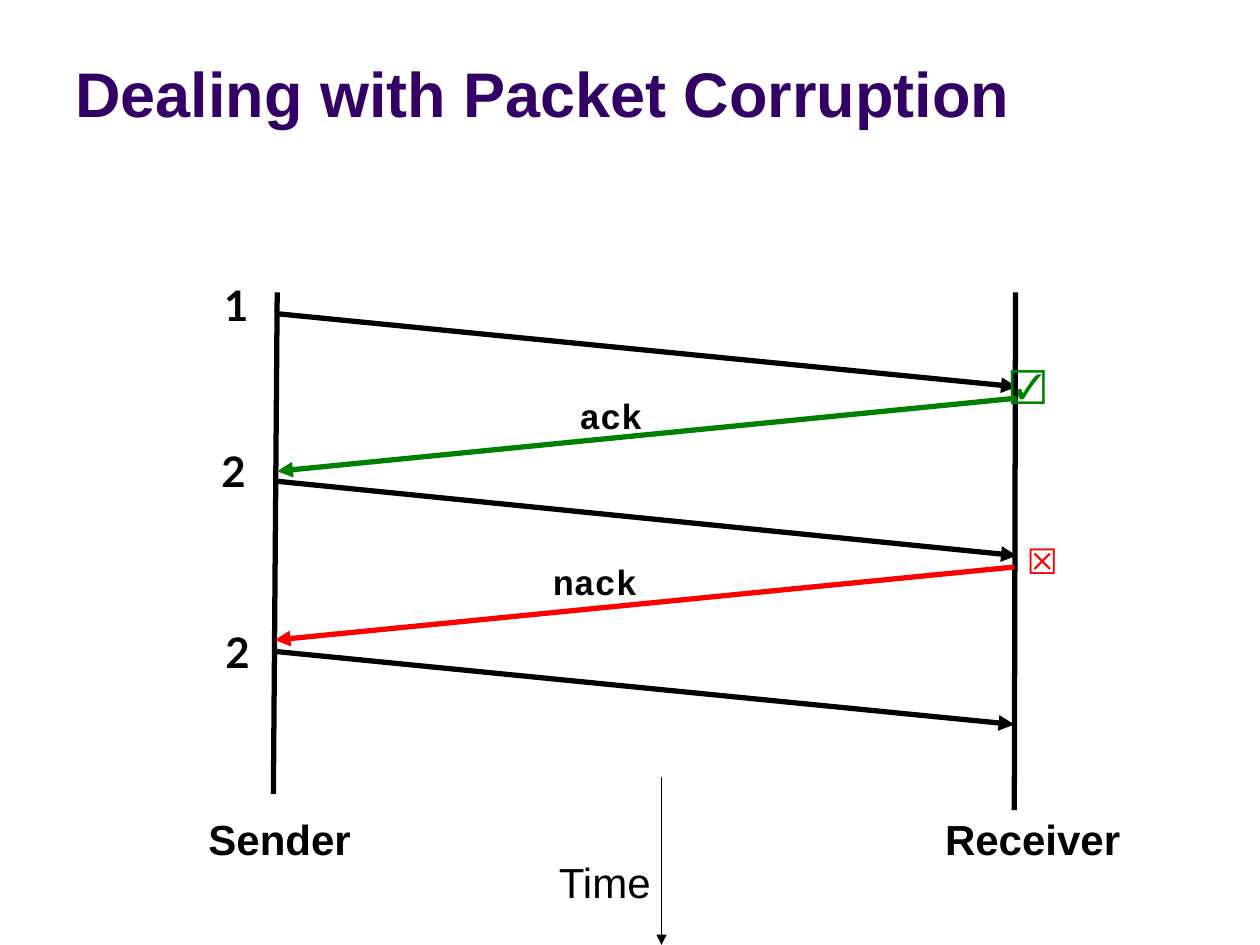
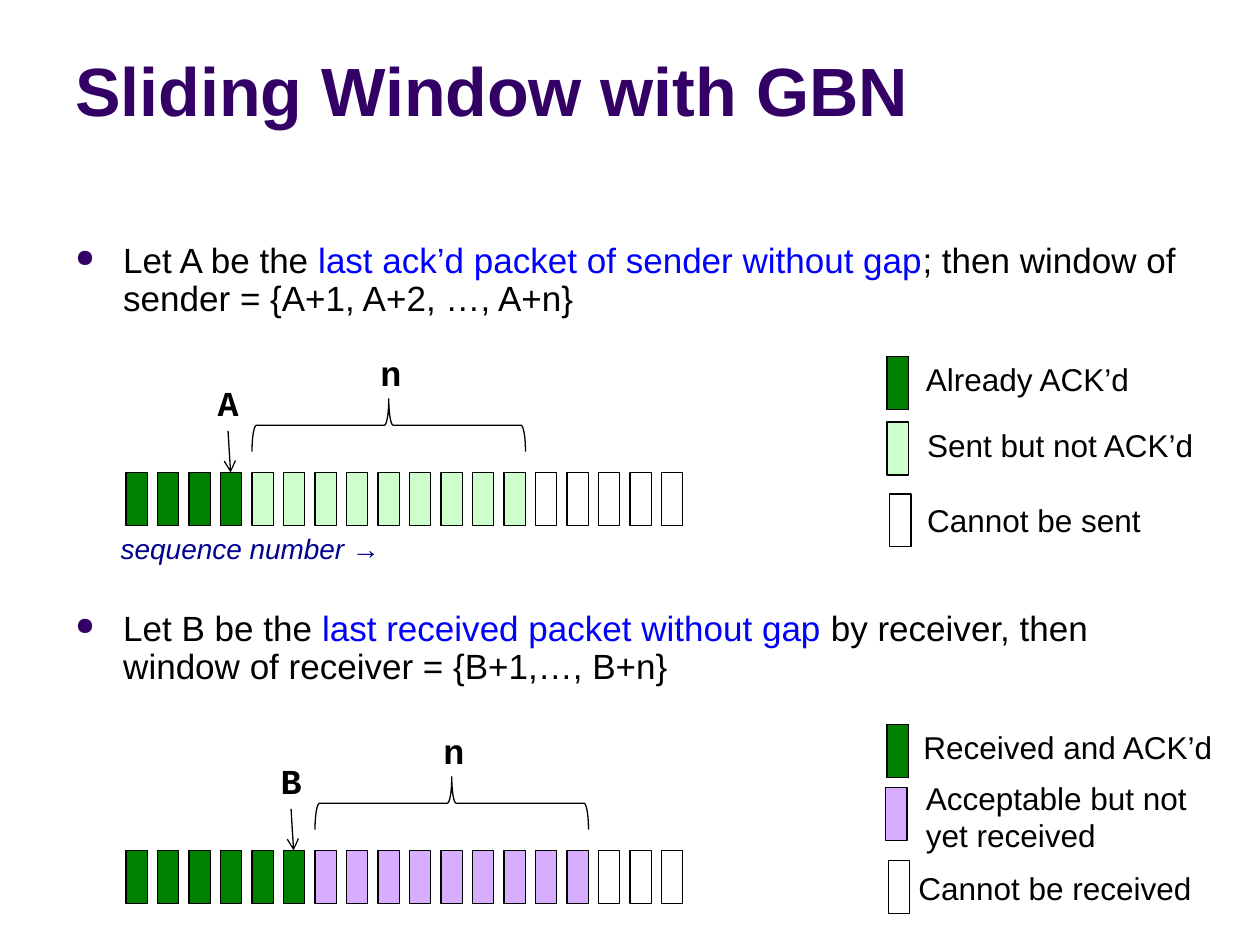
"""Builds two slides on reliable transport: packet corruption and the Go-Back-N window."""

import dataclasses
import typing

import lxml.etree
import pptx
import pptx.dml.color
import pptx.enum.dml
import pptx.enum.shapes
import pptx.enum.text
import pptx.oxml.ns
import pptx.shapes.autoshape
import pptx.slide
import pptx.text.text
import pptx.util

EMU_PER_PX = 9144
COLOURS = {
    "title": "330066",
    "ink": "000000",
    "paper": "FFFFFF",
    "good": "008000",
    "bad": "FF0000",
    "sent": "CCFFCC",
    "acceptable": "D6ADFF",
    "highlight": "0000FF",
    "caption": "000090",
}
SANS, MONO, DIGIT = "Arial", "Courier New", "Lato"

SLOT_COUNT, SLOT_LEFT, SLOT_PITCH = 18, 100, 25
SLOT_WIDTH, SLOT_HEIGHT = 17, 42
WINDOW_SIZE = 9
BRACE_LENGTH = WINDOW_SIZE * SLOT_PITCH - (SLOT_PITCH - SLOT_WIDTH)


@dataclasses.dataclass(frozen=True)
class Style:
    """Character formatting and box behaviour of a text."""

    size: int
    font: str = SANS
    colour: str = "ink"
    bold: bool = False
    italic: bool = False
    wrap: bool = False
    centred: bool = False


@dataclasses.dataclass(frozen=True)
class Label:
    """A text in a box given in px."""

    text: str
    left: int
    top: int
    width: int
    height: int
    style: Style


@dataclasses.dataclass(frozen=True)
class Line:
    """A straight line between two points in px, with an optional head at its end."""

    start: tuple[int, int]
    end: tuple[int, int]
    colour: str = "ink"
    weight: float = 3
    head: str = ""


@dataclasses.dataclass(frozen=True)
class LegendEntry:
    """A colour swatch with its explanation."""

    colour: str
    left: int
    top: int
    label: Label


@dataclasses.dataclass(frozen=True)
class Window:
    """One side's sentence, packet row and legend."""

    marker: str
    sentence: tuple[str, str, str]
    sentence_top: int
    row_top: int
    done: int
    colour: str
    legend: tuple[LegendEntry, ...]


ROLE = Style(24, bold=True, centred=True)
SEQUENCE = Style(24, DIGIT, bold=True)
CODE = Style(20, MONO, bold=True)
KEY = Style(18)
BODY = Style(20, wrap=True)

CORRUPTION_LINES = (
    Line((525, 617), (525, 750), weight=1, head="triangle"),
    Line((220, 232), (217, 630)),
    Line((806, 232), (805, 643)),
    Line((220, 249), (807, 307), head="triangle"),
    Line((807, 316), (220, 374), "good", head="triangle"),
    Line((220, 382), (807, 441), head="triangle"),
    Line((805, 450), (218, 508), "bad", head="triangle"),
    Line((218, 517), (805, 575), head="triangle"),
)
CORRUPTION_LABELS = (
    Label("Time", 433, 675, 94, 50, Style(24, centred=True)),
    Label("Sender", 155, 641, 134, 50, ROLE),
    Label("Receiver", 739, 641, 161, 50, ROLE),
    Label("1", 168, 217, 36, 49, SEQUENCE),
    Label("2", 166, 349, 40, 49, SEQUENCE),
    Label("2", 169, 492, 40, 49, SEQUENCE),
    Label("☑", 792, 283, 66, 44, Style(20, colour="good", bold=True, wrap=True)),
    Label("☒", 805, 423, 62, 44, Style(20, colour="bad", wrap=True)),
    Label("ack", 450, 308, 71, 44, CODE),
    Label("nack", 429, 440, 88, 44, CODE),
)
WINDOWS = (
    Window(
        "A",
        (
            "Let A be the ",
            "last ack’d packet of sender without gap",
            "; then window of sender = {A+1, A+2, …, A+n}",
        ),
        188, 375, 4, "sent",
        (
            LegendEntry("good", 704, 283, Label("Already ACK’d", 725, 281, 184, 40, KEY)),
            LegendEntry("sent", 704, 335, Label("Sent but not ACK’d", 726, 333, 234, 40, KEY)),
            LegendEntry("paper", 706, 392, Label("Cannot be sent", 726, 393, 191, 40, KEY)),
        ),
    ),
    Window(
        "B",
        (
            "Let B be the ",
            "last received packet without gap",
            " by receiver, then window of receiver = {B+1,…, B+n}",
        ),
        480, 675, 6, "acceptable",
        (
            LegendEntry("good", 704, 575, Label("Received and ACK’d", 723, 573, 252, 40, KEY)),
            LegendEntry(
                "acceptable", 703, 625,
                Label("Acceptable but not\vyet received", 725, 613, 231, 71, KEY),
            ),
            LegendEntry("paper", 705, 683, Label("Cannot be received", 719, 685, 239, 40, KEY)),
        ),
    ),
)


def px(length: float) -> pptx.util.Emu:
    """Turn px into EMU."""
    return pptx.util.Emu(round(length * EMU_PER_PX))


def rgb(name: str) -> pptx.dml.color.RGBColor:
    """Look up a named colour."""
    return pptx.dml.color.RGBColor.from_string(COLOURS[name])


def add_element(parent: typing.Any, tag: str, **attributes: str) -> typing.Any:
    """Append a DrawingML element to a parent."""
    return lxml.etree.SubElement(parent, pptx.oxml.ns.qn(tag), attributes)


def format_span(span: typing.Any, style: Style) -> None:
    """Apply character formatting to a run."""
    span.font.name = style.font
    span.font.size = pptx.util.Pt(style.size)
    span.font.bold = style.bold
    span.font.italic = style.italic
    span.font.color.rgb = rgb(style.colour)


def draw_label(page: pptx.slide.Slide, label: Label) -> pptx.shapes.autoshape.Shape:
    """Draw a text box."""
    box = page.shapes.add_textbox(
        px(label.left), px(label.top), px(label.width), px(label.height)
    )
    frame = box.text_frame
    frame.text = label.text
    frame.word_wrap = label.style.wrap
    frame.auto_size = pptx.enum.text.MSO_AUTO_SIZE.SHAPE_TO_FIT_TEXT
    if label.style.centred:
        frame.vertical_anchor = pptx.enum.text.MSO_ANCHOR.MIDDLE
        frame.paragraphs[0].alignment = pptx.enum.text.PP_ALIGN.CENTER
    for para in frame.paragraphs:
        for span in para.runs:
            format_span(span, label.style)
    return box


def draw_title(page: pptx.slide.Slide, text: str, size: int) -> None:
    """Draw the slide title, resting on the bottom of its band."""
    style = Style(size, colour="title", bold=True, wrap=True)
    box = draw_label(page, Label(text, 50, 13, 900, 95, style))
    box.text_frame.auto_size = pptx.enum.text.MSO_AUTO_SIZE.NONE
    box.text_frame.vertical_anchor = pptx.enum.text.MSO_ANCHOR.BOTTOM


def draw_line(page: pptx.slide.Slide, line: Line) -> None:
    """Draw a line or an arrow."""
    connector = page.shapes.add_connector(
        pptx.enum.shapes.MSO_CONNECTOR.STRAIGHT, *map(px, line.start + line.end)
    )
    connector.line.color.rgb = rgb(line.colour)
    connector.line.width = pptx.util.Pt(line.weight)
    properties = connector.element.spPr
    if line.head:
        outline = properties.find(pptx.oxml.ns.qn("a:ln"))
        add_element(outline, "a:tailEnd", type=line.head)
    add_element(properties, "a:effectLst")


def draw_packet(page: pptx.slide.Slide, left: int, top: int, colour: str) -> None:
    """Draw one packet slot or legend swatch."""
    packet = page.shapes.add_shape(
        pptx.enum.shapes.MSO_SHAPE.RECTANGLE,
        px(left), px(top), px(SLOT_WIDTH), px(SLOT_HEIGHT),
    )
    packet.shadow.inherit = False
    packet.fill.solid()
    packet.fill.fore_color.rgb = rgb(colour)
    packet.line.color.rgb = rgb("ink")
    packet.line.width = pptx.util.Pt(0.75)


def draw_brace(page: pptx.slide.Slide, centre: float, row_top: int) -> None:
    """Draw the brace that spans the window above a packet row."""
    brace = page.shapes.add_shape(
        pptx.enum.shapes.MSO_SHAPE.LEFT_BRACE,
        px(centre - SLOT_HEIGHT / 2), px(row_top - 146), px(SLOT_HEIGHT), px(BRACE_LENGTH),
    )
    brace.rotation = 90
    brace.shadow.inherit = False
    brace.fill.background()
    brace.line.color.rgb = rgb("ink")
    brace.line.width = pptx.util.Pt(0.75)


def draw_sentence(page: pptx.slide.Slide, window: Window) -> None:
    """Draw the bulleted definition of a window with its key phrase highlighted."""
    box = draw_label(page, Label("", 50, window.sentence_top, 900, 74, BODY))
    para = box.text_frame.paragraphs[0]
    para.line_spacing = 0.9
    for text, colour in zip(window.sentence, ("ink", "highlight", "ink")):
        span = para.add_run()
        span.text = text
        format_span(span, dataclasses.replace(BODY, colour=colour))
    properties = para._p.get_or_add_pPr()
    properties.set("marL", str(px(38)))
    properties.set("indent", str(px(-38)))
    add_element(add_element(properties, "a:buClr"), "a:srgbClr", val=COLOURS["title"])
    add_element(properties, "a:buSzPct", val="70000")
    add_element(properties, "a:buChar", char="●")


def draw_window(page: pptx.slide.Slide, window: Window) -> None:
    """Draw the sentence, packet row, markers and legend of one side."""
    draw_sentence(page, window)
    top = window.row_top
    pending = SLOT_COUNT - window.done - WINDOW_SIZE
    row = ["good"] * window.done + [window.colour] * WINDOW_SIZE + ["paper"] * pending
    for index, colour in enumerate(row):
        draw_packet(page, SLOT_LEFT + index * SLOT_PITCH, top, colour)

    first = SLOT_LEFT + window.done * SLOT_PITCH
    last_done = first - SLOT_PITCH
    draw_brace(page, first + BRACE_LENGTH / 2, top)
    draw_label(page, Label("n", first + 92, top - 101, 37, 44, CODE))
    draw_label(page, Label(window.marker, last_done - 12, top - 77, 37, 44, CODE))
    draw_line(
        page,
        Line((last_done + 6, top - 33), (last_done + 8, top), weight=0.75, head="arrow"),
    )
    for entry in window.legend:
        draw_packet(page, entry.left, entry.top, entry.colour)
        draw_label(page, entry.label)


def main() -> None:
    """Build and save the deck."""
    deck = pptx.Presentation()
    deck.slide_width, deck.slide_height = px(1000), px(750)
    blank = deck.slide_layouts[6]

    corruption = deck.slides.add_slide(blank)
    draw_title(corruption, "Dealing with Packet Corruption", 36)
    for line in CORRUPTION_LINES:
        draw_line(corruption, line)
    for label in CORRUPTION_LABELS:
        draw_label(corruption, label)

    sliding = deck.slides.add_slide(blank)
    draw_title(sliding, "Sliding Window with GBN", 39)
    for window in WINDOWS:
        draw_window(sliding, window)
    caption = Style(16, colour="caption", italic=True, wrap=True)
    draw_label(sliding, Label("sequence number →", 86, 417, 289, 37, caption))

    deck.save("out.pptx")


if __name__ == "__main__":
    main()
